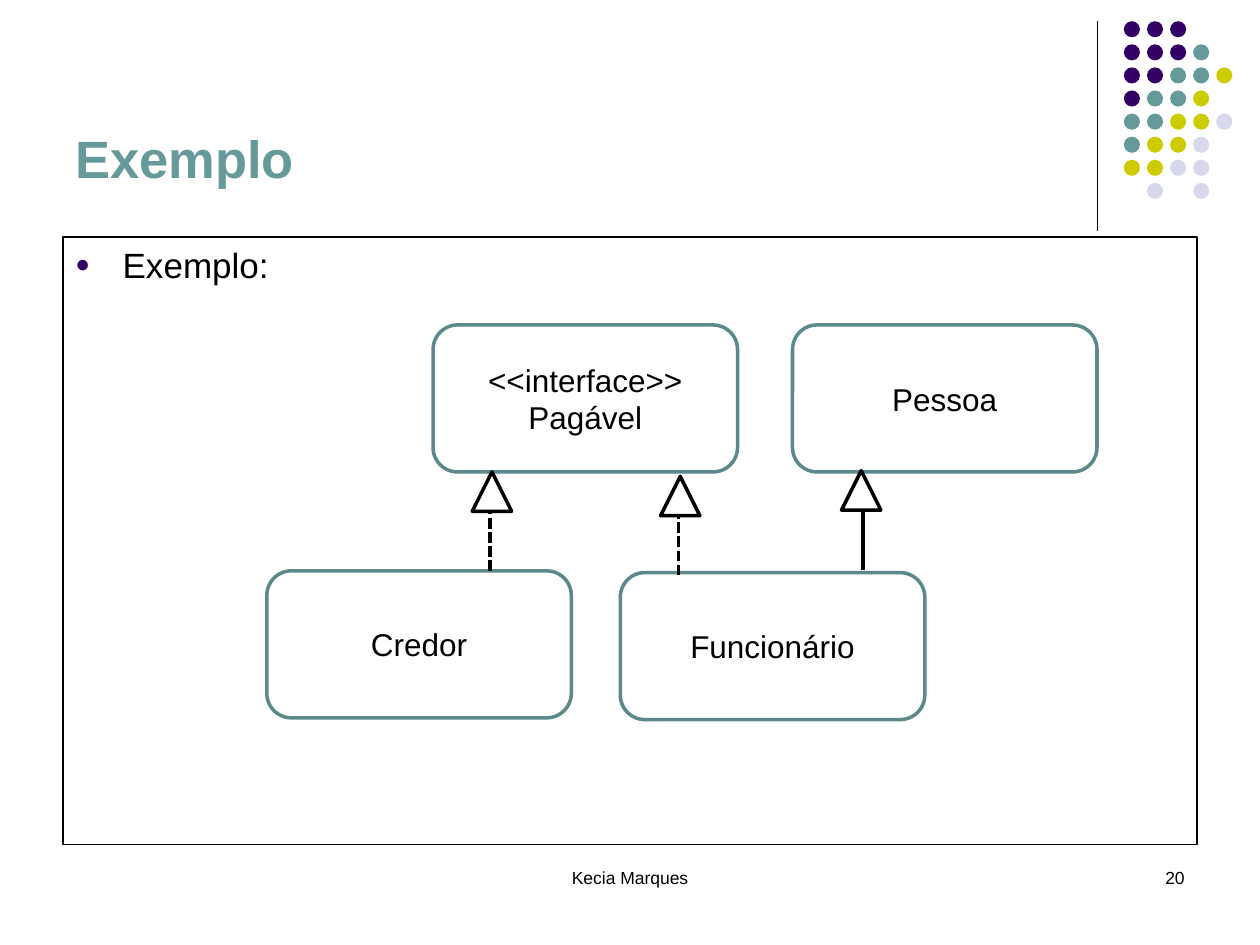
import pptx
import pptx.util
from lxml import etree
from pptx.dml.color import RGBColor
from pptx.enum.dml import MSO_LINE
from pptx.enum.shapes import MSO_CONNECTOR, MSO_SHAPE
from pptx.enum.text import MSO_ANCHOR, PP_ALIGN
from pptx.oxml.ns import qn

Pt = pptx.util.Pt

BLACK = RGBColor(0x00, 0x00, 0x00)
WHITE = RGBColor(0xFF, 0xFF, 0xFF)
PURPLE = RGBColor(0x33, 0x00, 0x66)
TEAL = RGBColor(0x66, 0x99, 0x99)
DARK_TEAL = RGBColor(0x5C, 0x8A, 0x8A)
LIME = RGBColor(0xCC, 0xCC, 0x00)
LILAC = RGBColor(0xD8, 0xD8, 0xEC)

DOT_COLORS = {"P": PURPLE, "T": TEAL, "L": LIME, "V": LILAC}
DOT_ROWS = ["PPP", "PPPT", "PPTTL", "PTTL", "TTLLV", "TLLV", "LLVV", " V V"]
CLASS_W, CLASS_H = 174, 84
HEAD = 22.5


def add_shape(s, kind, box, fill=None, line=None, width=0.75):
    sp = s.shapes.add_shape(kind, *map(Pt, box))
    sp.shadow.inherit = False
    if fill is None:
        sp.fill.background()
    else:
        sp.fill.solid()
        sp.fill.fore_color.rgb = fill
    if line is None:
        sp.line.fill.background()
    else:
        sp.line.color.rgb = line
        sp.line.width = Pt(width)
    return sp


def add_line(s, x1, y1, x2, y2, width, dash=None):
    cn = s.shapes.add_connector(MSO_CONNECTOR.STRAIGHT, *map(Pt, (x1, y1, x2, y2)))
    cn.line.color.rgb = BLACK
    cn.line.width = Pt(width)
    if dash is not None:
        cn.line.dash_style = dash
    etree.SubElement(cn._element.spPr, qn("a:effectLst"))


def write(sp, lines, size, color=BLACK, bold=False,
          align=PP_ALIGN.LEFT, anchor=MSO_ANCHOR.TOP):
    tf = sp.text_frame
    tf.word_wrap = True
    tf.vertical_anchor = anchor
    for i, line in enumerate(lines):
        p = tf.add_paragraph() if i else tf.paragraphs[0]
        p.alignment = align
        r = p.add_run()
        r.text = line
        r.font.name = "Arial"
        r.font.size = Pt(size)
        r.font.bold = bold
        r.font.color.rgb = color


def add_label(s, box, text, size, **style):
    write(s.shapes.add_textbox(*map(Pt, box)), [text], size, **style)


def add_bullet(p, indent):
    pPr = p._p.get_or_add_pPr()
    pPr.set("marL", str(Pt(indent)))
    pPr.set("indent", str(-Pt(indent)))
    clr = etree.SubElement(pPr, qn("a:buClr"))
    etree.SubElement(clr, qn("a:srgbClr"), val=str(PURPLE))
    etree.SubElement(pPr, qn("a:buSzPct"), val="70000")
    etree.SubElement(pPr, qn("a:buFont"), typeface="Arial")
    etree.SubElement(pPr, qn("a:buChar"), char="●")


def draw_corner_dots(s, left, top, pitch=13.2, size=9.2):
    for row, codes in enumerate(DOT_ROWS):
        for col, code in enumerate(codes):
            if code in DOT_COLORS:
                box = (left + col * pitch, top + row * pitch, size, size)
                add_shape(s, MSO_SHAPE.OVAL, box, DOT_COLORS[code])


def draw_body(s, box):
    sp = add_shape(s, MSO_SHAPE.RECTANGLE, box, line=BLACK)
    add_bullet(sp.text_frame.paragraphs[0], 27)
    write(sp, ["Exemplo:"], 20)


def draw_class(s, left, top, *lines):
    sp = add_shape(s, MSO_SHAPE.ROUNDED_RECTANGLE, (left, top, CLASS_W, CLASS_H),
                   WHITE, DARK_TEAL, 2)
    sp.adjustments[0] = 0.167
    write(sp, lines, 18, align=PP_ALIGN.CENTER, anchor=MSO_ANCHOR.MIDDLE)


def draw_inheritance(s, left, top, stem_x, dash=None):
    """UML arrow: hollow head at (left, top) with its stem below."""
    add_shape(s, MSO_SHAPE.ISOSCELES_TRIANGLE, (left, top, HEAD, HEAD), WHITE, BLACK, 2)
    add_line(s, stem_x, top + 56.5, stem_x, top + HEAD, 2, dash)


def draw_class_diagram(s, left, top):
    """Place the classes and arrows from the diagram's top left corner."""
    draw_class(s, left + 95, top, "<<interface>>", "Pagável")
    draw_class(s, left, top + 140.5, "Credor")
    draw_class(s, left + 202, top + 141.5, "Funcionário")
    draw_class(s, left + 300.4, top, "Pessoa")
    dash = MSO_LINE.SQUARE_DOT
    draw_inheritance(s, left + 117.4, top + 84, left + 127.5, dash)
    draw_inheritance(s, left + 225, top + 86.5, left + 235.3, dash)
    draw_inheritance(s, left + 328.4, top + 83.3, left + 340.6)


def main():
    prs = pptx.Presentation()
    prs.slide_width, prs.slide_height = Pt(720), Pt(540)
    s = prs.slides.add_slide(prs.slide_layouts[6])
    add_line(s, 627, 12, 627, 132, 0.75)
    draw_corner_dots(s, 642.2, 12.1)
    add_label(s, (246, 492, 228, 36), "Kecia Marques", 10, align=PP_ALIGN.CENTER)
    add_label(s, (516, 492, 168, 36), "20", 10, align=PP_ALIGN.RIGHT)
    add_label(s, (36, 9.5, 594, 102), "Exemplo", 30, color=TEAL, bold=True,
              anchor=MSO_ANCHOR.BOTTOM)
    draw_body(s, (36, 135.5, 648, 347))
    draw_class_diagram(s, 152.5, 185.7)
    prs.save("out.pptx")


if __name__ == "__main__":
    main()
